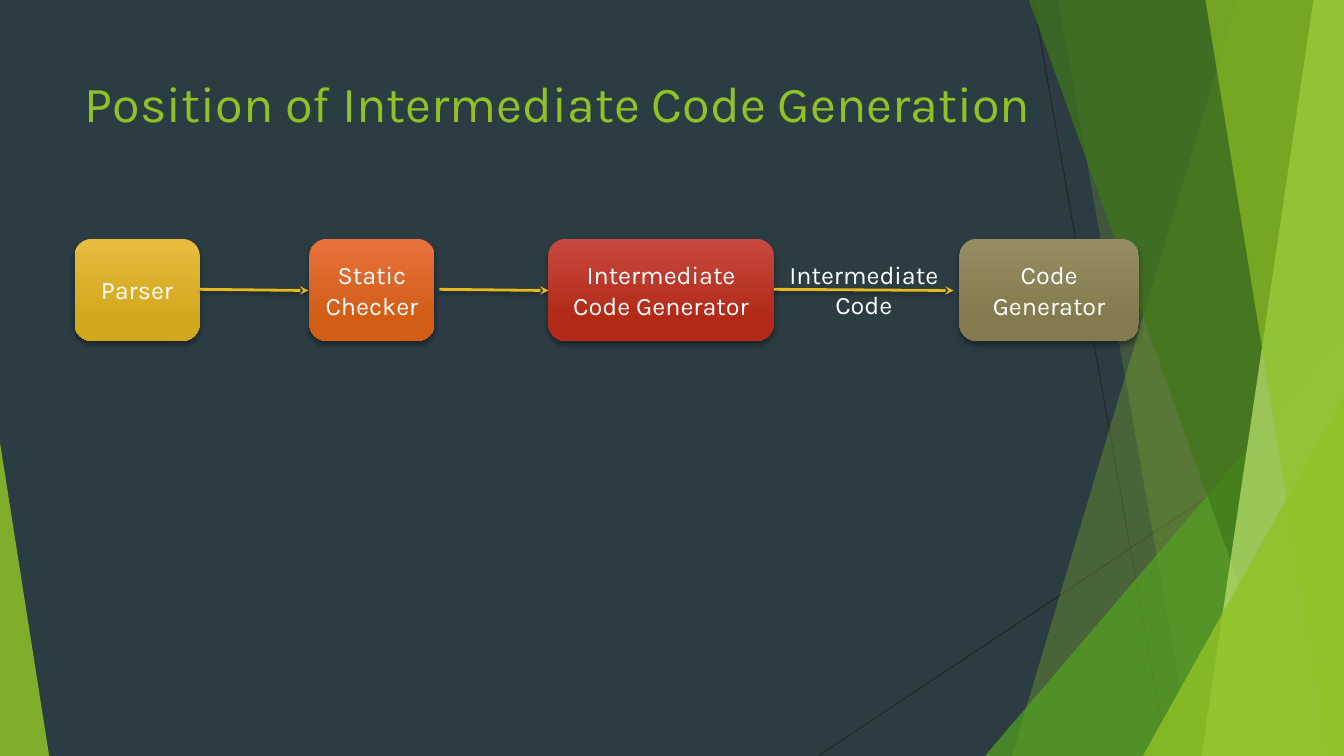
import lxml.etree
import pptx
import pptx.dml.color
import pptx.enum.dml
import pptx.enum.shapes
import pptx.enum.text
import pptx.oxml.ns
import pptx.util

Cm = pptx.util.Cm
Pt = pptx.util.Pt
Align = pptx.enum.text.PP_ALIGN
Anchor = pptx.enum.text.MSO_ANCHOR
Shape = pptx.enum.shapes.MSO_SHAPE

WIDTH, HEIGHT = 33.87, 19.05
BOX_TOP, BOX_HEIGHT = 6.02, 2.57
ARROW_START, ARROW_END = 7.29, 7.32
COLORS = {
    "background": "2C3C43",
    "thin line": "262626",
    "lime": "90C226",
    "green": "54A021",
    "forest": "3F7818",
    "pale": "BFE471",
    "white": "FFFFFF",
    "arrow": "E6B91E",
    "shadow": "000000",
    "parser top": "E7BC40",
    "parser bottom": "D1A81B",
    "checker top": "E8713E",
    "checker bottom": "D25D15",
    "intermediate top": "C6493F",
    "intermediate bottom": "B22A17",
    "generator top": "978D63",
    "generator bottom": "837A4D",
}


def rgb(name):
    return pptx.dml.color.RGBColor.from_string(COLORS[name])


def add_element(parent, tag, **attributes):
    values = {key: str(value) for key, value in attributes.items()}
    return lxml.etree.SubElement(parent, pptx.oxml.ns.qn(tag), values)


def write_text(shape, text, size=18, color="white", align=Align.CENTER,
               anchor=Anchor.MIDDLE, font="Karla"):
    frame = shape.text_frame
    frame.word_wrap = True
    frame.vertical_anchor = anchor
    frame.text = text
    for paragraph in frame.paragraphs:
        paragraph.alignment = align
        paragraph.font.size = Pt(size)
        paragraph.font.name = font
        paragraph.font.color.rgb = rgb(color)


class SlideBuilder:
    def __init__(self, slide):
        self.slide = slide
        self.shapes = slide.shapes
        slide.background.fill.solid()
        slide.background.fill.fore_color.rgb = rgb("background")

    def title(self, text, left, top, width, height):
        shape = self.shapes.title
        shape.left, shape.top = Cm(left), Cm(top)
        shape.width, shape.height = Cm(width), Cm(height)
        write_text(shape, text, size=36, color="lime", align=Align.LEFT, anchor=Anchor.TOP)

    def shadow(self, shape, blur, distance):
        effects = add_element(shape._element.spPr, "a:effectLst")
        outer = add_element(effects, "a:outerShdw", blurRad=Pt(blur), dist=Pt(distance),
                            dir=5400000, algn="ctr", rotWithShape=0)
        color = add_element(outer, "a:srgbClr", val=COLORS["shadow"])
        add_element(color, "a:alpha", val=35000)

    def line(self, start, end, color, width):
        connector = self.shapes.add_connector(
            pptx.enum.shapes.MSO_CONNECTOR.STRAIGHT, *map(Cm, start + end))
        connector.line.color.rgb = rgb(color)
        connector.line.width = Pt(width)
        return connector

    def thin_line(self, start, end):
        connector = self.line(start, end, "thin line", 0.75)
        add_element(connector._element.spPr, "a:effectLst")

    def arrow(self, left, right):
        connector = self.line((left, ARROW_START), (right, ARROW_END), "arrow", 2)
        add_element(connector.line._get_or_add_ln(), "a:tailEnd", type="stealth")
        self.shadow(connector, 3, 2)

    def paint_facet(self, shape, color, opacity):
        shape.shadow.inherit = False
        shape.line.fill.background()
        shape.fill.solid()
        shape.fill.fore_color.rgb = rgb(color)
        fill_color = shape._element.spPr.find(".//" + pptx.oxml.ns.qn("a:srgbClr"))
        add_element(fill_color, "a:alpha", val=opacity * 1000)

    def band(self, top_left, bottom_left, color, opacity):
        builder = self.shapes.build_freeform(Cm(top_left), 0)
        corners = [(WIDTH, 0), (WIDTH, HEIGHT), (bottom_left, HEIGHT)]
        builder.add_line_segments([(Cm(x), Cm(y)) for x, y in corners])
        self.paint_facet(builder.convert_to_shape(), color, opacity)

    def triangle(self, left, top, width, peak, color, opacity):
        shape = self.shapes.add_shape(Shape.ISOSCELES_TRIANGLE, Cm(left), Cm(top),
                                      Cm(width), Cm(HEIGHT - top))
        shape.adjustments[0] = peak
        self.paint_facet(shape, color, opacity)

    def stage(self, text, left, width, palette):
        shape = self.shapes.add_shape(Shape.ROUNDED_RECTANGLE, Cm(left), Cm(BOX_TOP),
                                      Cm(width), Cm(BOX_HEIGHT))
        shape.line.fill.background()
        shape.fill.gradient()
        shape.fill.gradient_angle = 270
        top, bottom = shape.fill.gradient_stops
        top.position, bottom.position = 0, 0.78
        top.color.rgb = rgb(palette + " top")
        bottom.color.rgb = rgb(palette + " bottom")
        self.shadow(shape, 4, 3)
        write_text(shape, text)

    def label(self, text, left, top, width, height):
        shape = self.shapes.add_textbox(Cm(left), Cm(top), Cm(width), Cm(height))
        write_text(shape, text, anchor=Anchor.TOP)


def draw_backdrop(builder):
    builder.thin_line((26.04, 0), (29.41, HEIGHT))
    builder.thin_line((WIDTH, 10.24), (20.62, HEIGHT))
    builder.band(31.19, 25.5, "lime", 30)
    builder.band(26.67, 30.05, "lime", 20)
    builder.triangle(24.82, 8.46, 9.05, 1, "green", 72)
    builder.band(25.93, 32.79, "forest", 70)
    builder.band(33.1, 30.28, "pale", 70)
    builder.band(30.38, 33.48, "lime", 65)
    builder.triangle(28.8, 9.98, 5.07, 1, "lime", 80)
    builder.triangle(0, 11.15, 1.24, 0, "lime", 85)


def main():
    presentation = pptx.Presentation()
    presentation.slide_width, presentation.slide_height = Cm(WIDTH), Cm(HEIGHT)
    builder = SlideBuilder(presentation.slides.add_slide(presentation.slide_layouts[5]))
    draw_backdrop(builder)
    builder.title("Position of Intermediate Code Generation", 1.88, 1.7, 25.27, 3.66)
    for text, left, width, palette in [
        ("Parser", 1.88, 3.15, "parser"),
        ("Static\nChecker", 7.8, 3.15, "checker"),
        ("Intermediate\nCode Generator", 13.82, 5.68, "intermediate"),
        ("Code\nGenerator", 24.18, 4.52, "generator"),
    ]:
        builder.stage(text, left, width, palette)
    for left, right in [(5.03, 7.77), (11.07, 13.82), (19.5, 24.03)]:
        builder.arrow(left, right)
    builder.label("Intermediate\nCode", 18.72, 6.4, 6.1, 1.8)
    presentation.save("out.pptx")


if __name__ == "__main__":
    main()
